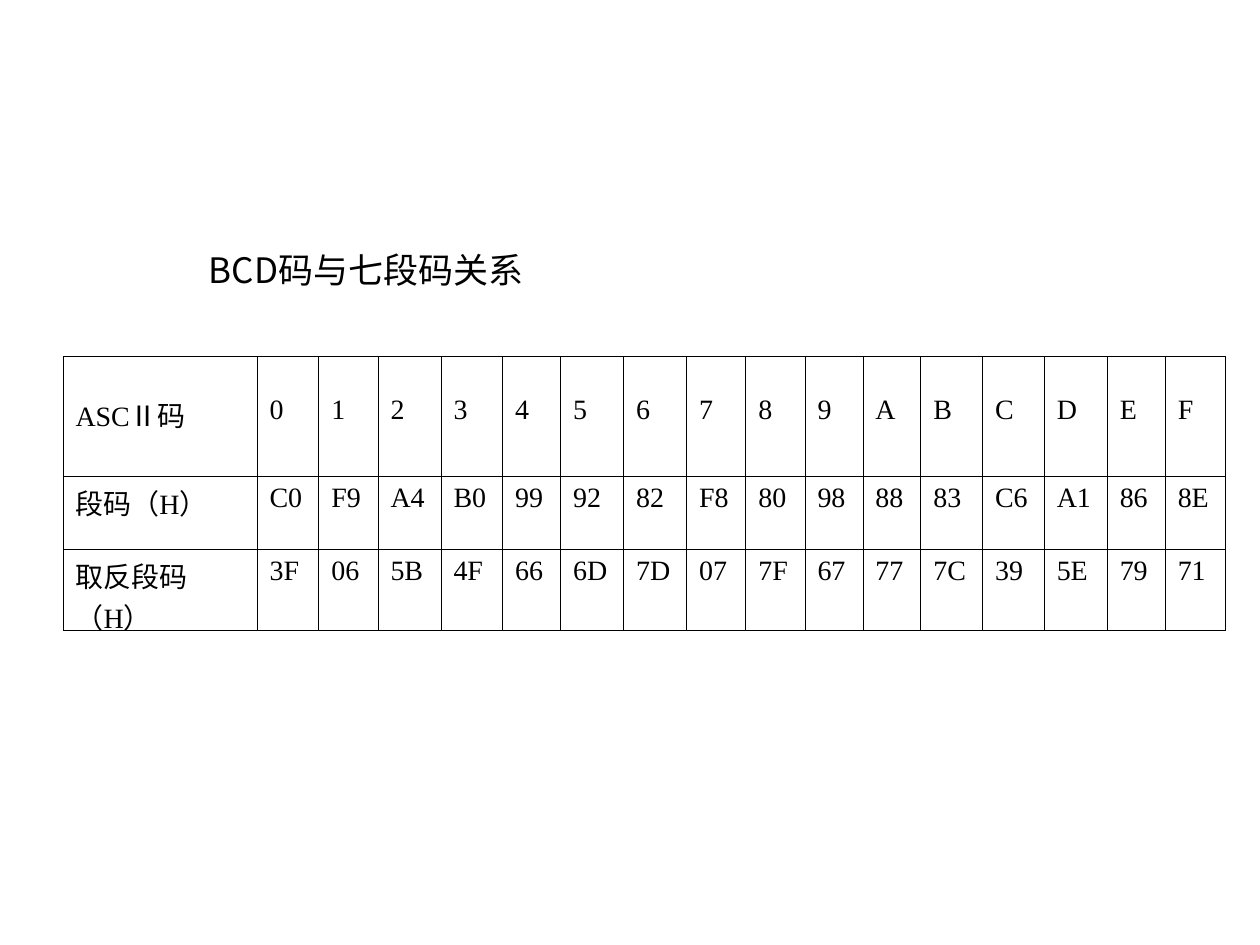
from dataclasses import dataclass

from lxml import etree
from pptx import Presentation
from pptx.dml.color import RGBColor
from pptx.enum.text import MSO_ANCHOR, MSO_AUTO_SIZE
from pptx.oxml.ns import qn
from pptx.util import Inches, Pt

MIDDLE = MSO_ANCHOR.MIDDLE
FIT_SHAPE = MSO_AUTO_SIZE.SHAPE_TO_FIT_TEXT


@dataclass(frozen=True)
class Theme:
    ink: RGBColor = RGBColor(0, 0, 0)
    title_size: float = 20
    cell_size: float = 16
    border_width: float = 0.45
    latin: str = "Times New Roman"
    chinese: str = "Noto Sans CJK SC"
    numeral: str = "Noto Sans CJK JP"


THEME = Theme()

COLUMN_WIDTHS = [1.54, 0.49, 0.47, 0.5, 0.49, 0.46, 0.5, 0.5, 0.47,
                 0.47, 0.46, 0.46, 0.49, 0.49, 0.5, 0.46, 0.48]
ROW_HEIGHTS = [0.95, 0.58, 0.64]
HEADER_TOP_MARGIN = 0.3
# Each row: the runs of its label, then its sixteen codes.
CODE_ROWS = [
    (["ASC", "Ⅱ", "码"], "0 1 2 3 4 5 6 7 8 9 A B C D E F"),
    (["段码（H）"], "C0 F9 A4 B0 99 92 82 F8 80 98 88 83 C6 A1 86 8E"),
    (["取反段码（H）"], "3F 06 5B 4F 66 6D 7D 07 7F 67 77 7C 39 5E 79 71"),
]


def add_run(paragraph, text, size, latin, east_asian):
    run = paragraph.add_run()
    run.text = text
    run.font.size = Pt(size)
    run.font.name = latin
    run.font.color.rgb = THEME.ink
    etree.SubElement(run.font._element, qn("a:ea"), typeface=east_asian)


def set_borders(cell):
    properties = cell._tc.get_or_add_tcPr()
    for side in ("lnL", "lnR", "lnT", "lnB"):
        line = etree.SubElement(properties, qn(f"a:{side}"),
                                w=str(int(Pt(THEME.border_width))))
        fill = etree.SubElement(line, qn("a:solidFill"))
        etree.SubElement(fill, qn("a:srgbClr"), val=str(THEME.ink))


def add_title(slide, left, top, width, height):
    box = slide.shapes.add_textbox(*map(Inches, (left, top, width, height)))
    text_frame = box.text_frame
    text_frame.word_wrap = False
    text_frame.auto_size = FIT_SHAPE
    text_frame.vertical_anchor = MIDDLE
    add_run(text_frame.paragraphs[0], "BCD码与七段码关系",
            THEME.title_size, THEME.chinese, THEME.chinese)


def fill_cell(cell, texts, top_margin):
    cell.margin_top = Inches(top_margin)
    paragraph = cell.text_frame.paragraphs[0]
    for text in texts:
        is_numeral = text == "Ⅱ"
        add_run(paragraph, text, THEME.cell_size,
                THEME.numeral if is_numeral else THEME.latin,
                THEME.numeral if is_numeral else THEME.chinese)
    set_borders(cell)
    cell.fill.background()


def add_code_table(slide, left, top, width, height):
    frame = slide.shapes.add_table(len(ROW_HEIGHTS), len(COLUMN_WIDTHS),
                                   *map(Inches, (left, top, width, height)))
    table = frame.table
    table.first_row = False
    table.horz_banding = False
    for column, column_width in zip(table.columns, COLUMN_WIDTHS):
        column.width = Inches(column_width)
    for row, row_height in zip(table.rows, ROW_HEIGHTS):
        row.height = Inches(row_height)
    for row_index, (label, codes) in enumerate(CODE_ROWS):
        top_margin = 0.05 if row_index else HEADER_TOP_MARGIN
        contents = [label] + [[code] for code in codes.split()]
        for column_index, texts in enumerate(contents):
            fill_cell(table.cell(row_index, column_index), texts, top_margin)


def main():
    presentation = Presentation()
    presentation.slide_width = Inches(10)
    presentation.slide_height = Inches(7.5)
    slide = presentation.slides.add_slide(presentation.slide_layouts[6])
    add_title(slide, 1.56, 1.92, 2.76, 0.44)
    add_code_table(slide, 0.5, 2.83, sum(COLUMN_WIDTHS), sum(ROW_HEIGHTS))
    presentation.save("out.pptx")


if __name__ == "__main__":
    main()
